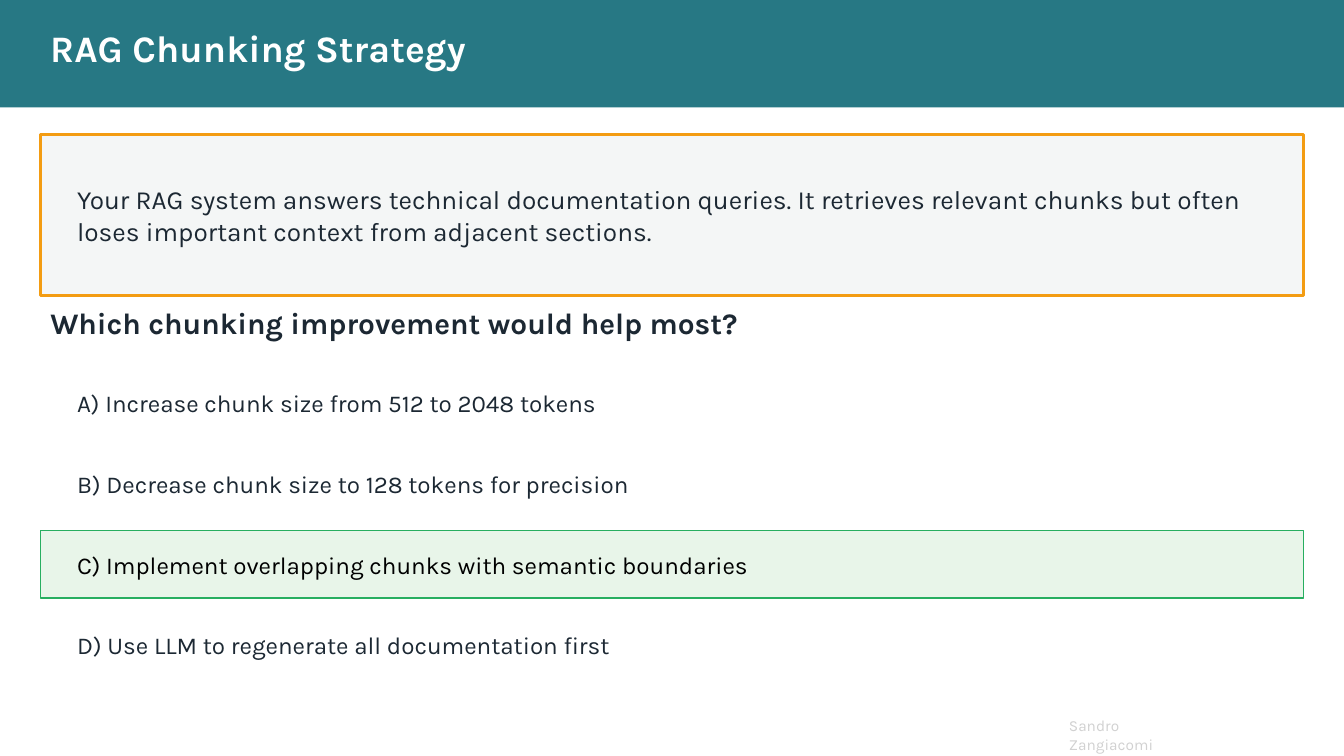
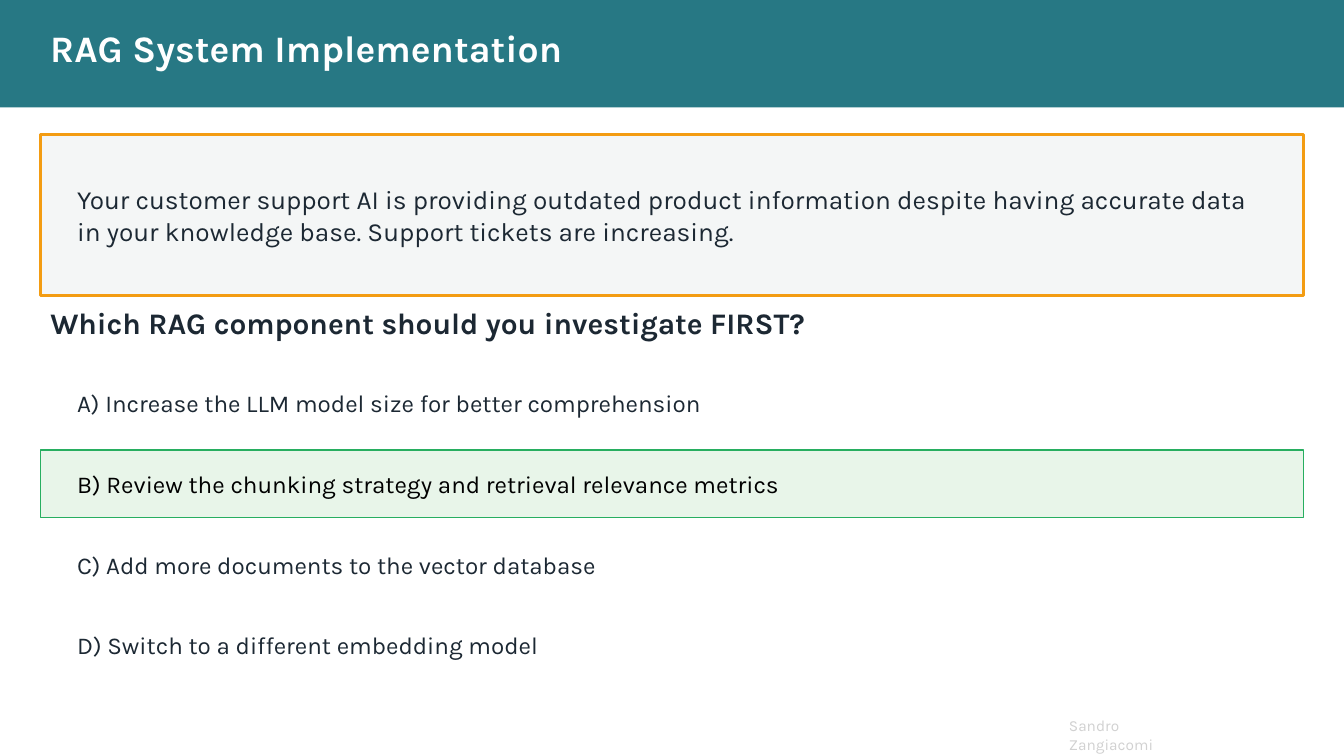
import pptx
import pptx.dml.color
import pptx.enum.shapes
import pptx.enum.text
import pptx.util

SLIDE_WIDTH = pptx.util.Inches(13.33)
SLIDE_HEIGHT = pptx.util.Inches(7.5)
COLUMN = SLIDE_WIDTH / 100  # square grid cell: every length below counts these

FONT = "Karla"
TEAL, ORANGE, GREEN = "277884", "F39C12", "27AE60"
PALE_GRAY, PALE_GREEN = "F4F6F6", "E8F5E9"
INK, BLACK, WHITE, FOOTER_GRAY = "1C2833", "000000", "FFFFFF", "D1D1D1"

MARGIN, FULL_WIDTH = 3, 94
INDENT, INDENTED_WIDTH = 5, 90
LINE_HEIGHT = 5
FIRST_ANSWER, ANSWER_STEP = 30, 6

QUESTIONS = [
    {
        "title": "RAG Chunking Strategy",
        "scenario": "Your RAG system answers technical documentation queries. "
                    "It retrieves relevant chunks but often loses important "
                    "context from adjacent sections.",
        "question": "Which chunking improvement would help most?",
        "answers": [
            "A) Increase chunk size from 512 to 2048 tokens",
            "B) Decrease chunk size to 128 tokens for precision",
            "C) Implement overlapping chunks with semantic boundaries",
            "D) Use LLM to regenerate all documentation first",
        ],
        "correct": 2,
    },
    {
        "title": "RAG System Implementation",
        "scenario": "Your customer support AI is providing outdated product "
                    "information despite having accurate data in your "
                    "knowledge base. Support tickets are increasing.",
        "question": "Which RAG component should you investigate FIRST?",
        "answers": [
            "A) Increase the LLM model size for better comprehension",
            "B) Review the chunking strategy and retrieval relevance metrics",
            "C) Add more documents to the vector database",
            "D) Switch to a different embedding model",
        ],
        "correct": 1,
    },
]


def color(hex_string):
    return pptx.dml.color.RGBColor.from_string(hex_string)


def cells(*counts):
    """Turn counts of grid cells into lengths."""
    return [round(count * COLUMN) for count in counts]


def add_panel(slide, left, top, width, height, fill, line=None, line_width=1):
    shape = slide.shapes.add_shape(
        pptx.enum.shapes.MSO_SHAPE.RECTANGLE, *cells(left, top, width, height))
    shape.shadow.inherit = False
    shape.fill.solid()
    shape.fill.fore_color.rgb = color(fill)
    if line:
        shape.line.color.rgb = color(line)
        shape.line.width = pptx.util.Pt(line_width)
    else:
        shape.line.fill.background()


def add_text(slide, text, left, middle, width, size, ink=INK, bold=False,
             height=LINE_HEIGHT):
    """Add wrapped text centred vertically on the grid row `middle`."""
    box = slide.shapes.add_textbox(
        *cells(left, middle - height / 2, width, height))
    frame = box.text_frame
    frame.word_wrap = True
    frame.vertical_anchor = pptx.enum.text.MSO_ANCHOR.MIDDLE
    run = frame.paragraphs[0].add_run()
    run.text = text
    run.font.name = FONT
    run.font.size = pptx.util.Pt(size)
    run.font.bold = bold
    run.font.color.rgb = color(ink)


def add_header(slide, title):
    add_panel(slide, 0, 0, 100, 8, TEAL)
    add_text(slide, title, MARGIN, 3.5, 75, 26.7, WHITE, bold=True)


def add_footer(slide):
    add_text(slide, "Sandro Zangiacomi", 78.8, 54.7, 11.2, 11, FOOTER_GRAY,
             height=3.5)


def add_scenario(slide, scenario):
    add_panel(slide, MARGIN, 10, FULL_WIDTH, 12, PALE_GRAY, ORANGE, 2)
    add_text(slide, scenario, INDENT, 16, INDENTED_WIDTH, 18.7, height=10)


def add_answers(slide, answers, correct):
    for index, answer in enumerate(answers):
        middle = FIRST_ANSWER + index * ANSWER_STEP
        if index == correct:
            add_panel(slide, MARGIN, middle - LINE_HEIGHT / 2, FULL_WIDTH,
                      LINE_HEIGHT, PALE_GREEN, GREEN)
        add_text(slide, answer, INDENT, middle, INDENTED_WIDTH, 17.3,
                 BLACK if index == correct else INK)


def add_question_slide(presentation, content):
    slide = presentation.slides.add_slide(presentation.slide_layouts[6])
    add_footer(slide)
    add_header(slide, content["title"])
    add_scenario(slide, content["scenario"])
    add_text(slide, content["question"], MARGIN, 24, FULL_WIDTH, 21.3,
             bold=True)
    add_answers(slide, content["answers"], content["correct"])


def main():
    presentation = pptx.Presentation()
    presentation.slide_width = SLIDE_WIDTH
    presentation.slide_height = SLIDE_HEIGHT
    for content in QUESTIONS:
        add_question_slide(presentation, content)
    presentation.save("out.pptx")


if __name__ == "__main__":
    main()
